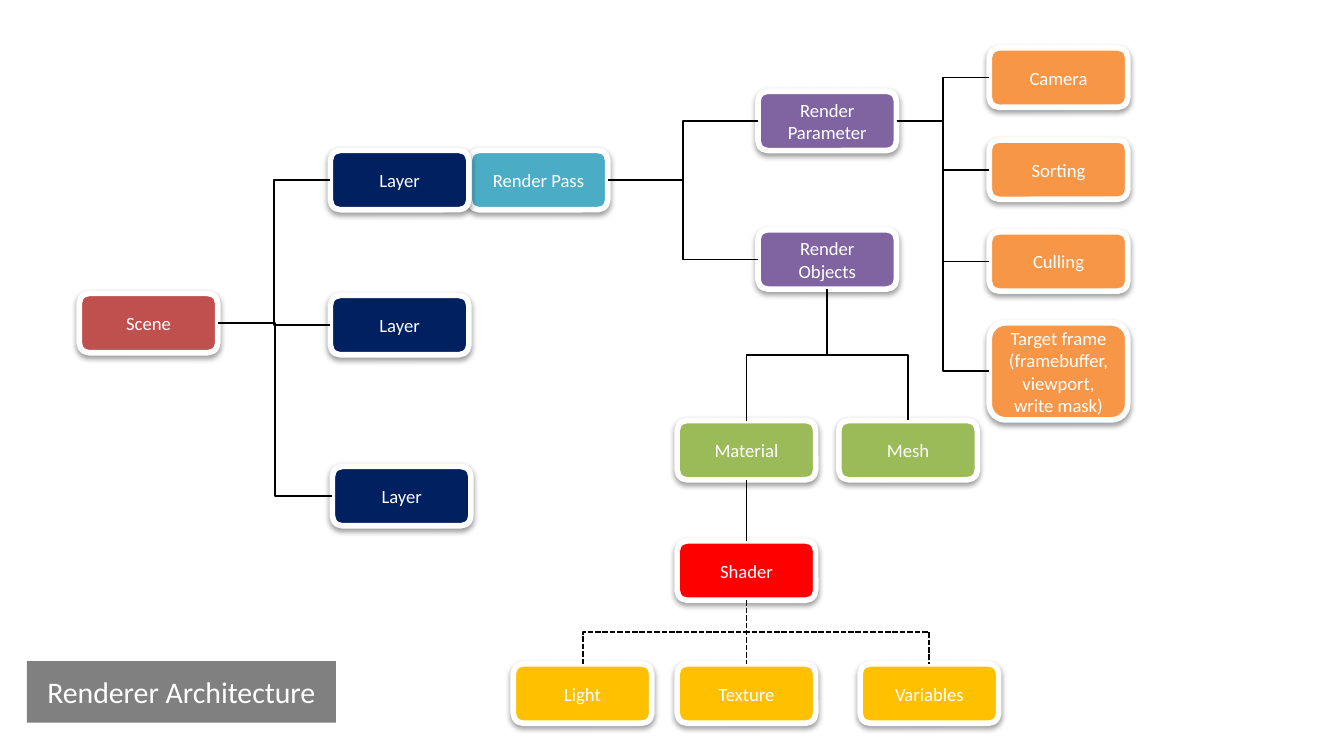
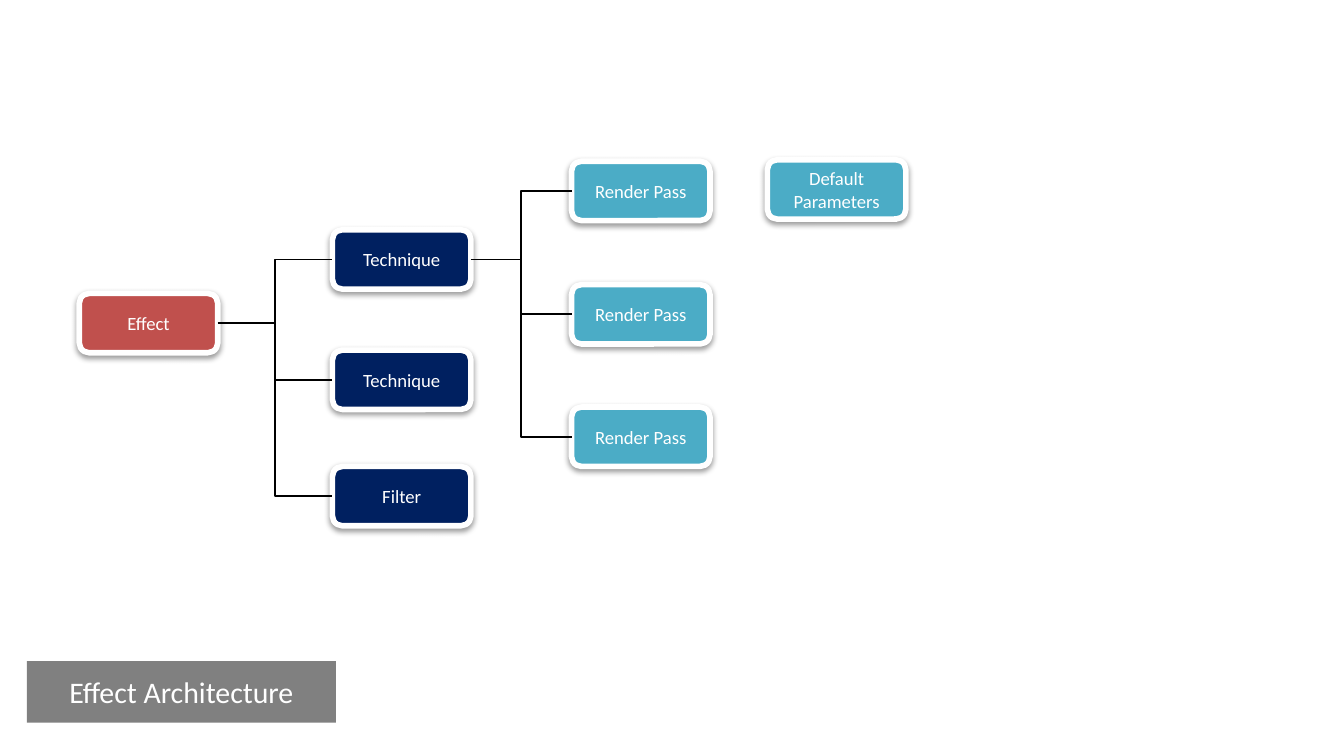
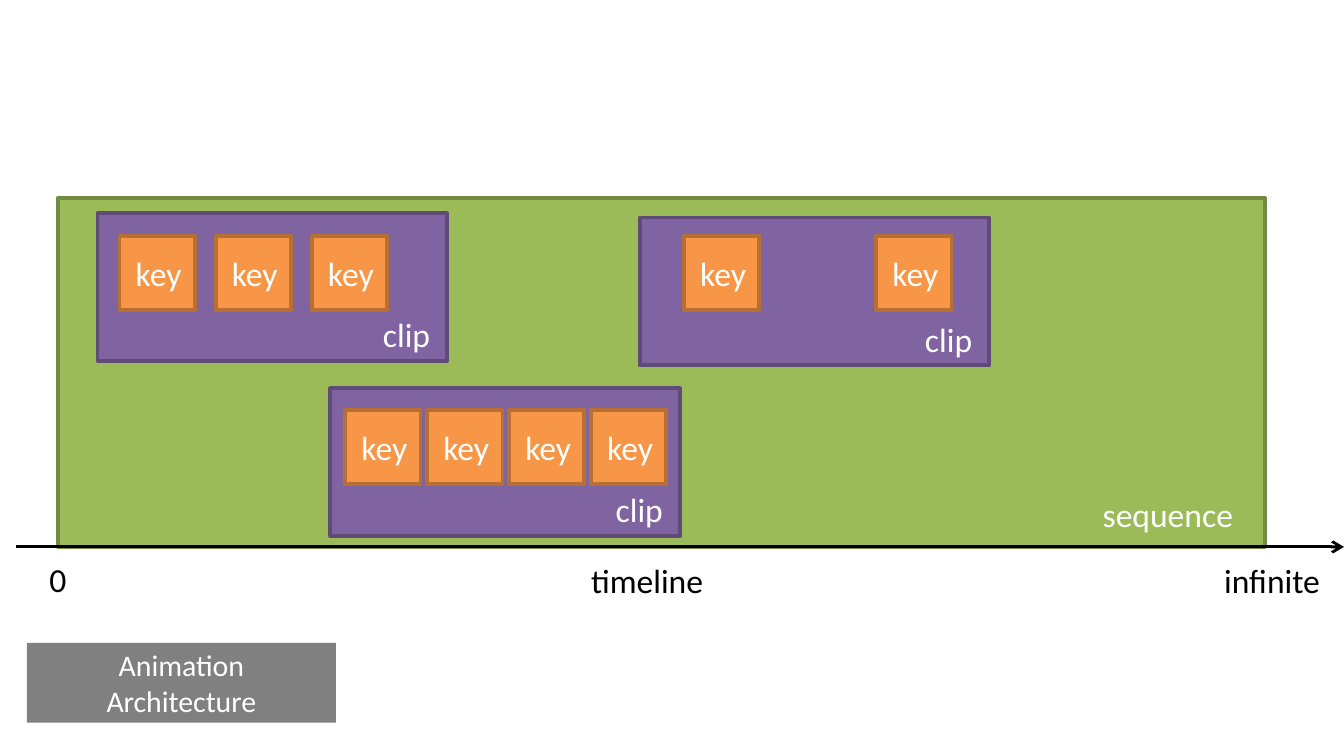
"""Build three architecture diagrams: renderer, effect and animation."""
from lxml import etree
from pptx import Presentation
from pptx import util as u
from pptx.dml import color
from pptx.enum import dml, shapes, text
from pptx.oxml.ns import qn

COLOURS = {
    "white": "FFFFFF", "black": "000000", "grey": "808080", "red": "C0504D",
    "navy": "002060", "teal": "4BACC6", "purple": "8064A2", "orange": "F79646",
    "green": "9BBB59", "bright_red": "FF0000", "amber": "FFC000",
    "dark_green": "738A42", "dark_purple": "5F4A78", "dark_orange": "B76F34",
}
FONT = "Calibri"
NODE_WIDTH, NODE_HEIGHT = 74.2, 31.8
KEY_WIDTH, KEY_HEIGHT = 40.3, 39.6
CLIP_WIDTH, CLIP_HEIGHT = 187.2, 79.2
AXIS_TOP = 293
ALIGN = {"left": text.PP_ALIGN.LEFT, "center": text.PP_ALIGN.CENTER,
         "right": text.PP_ALIGN.RIGHT}
ANCHOR = {"top": text.MSO_ANCHOR.TOP, "middle": text.MSO_ANCHOR.MIDDLE,
          "bottom": text.MSO_ANCHOR.BOTTOM}

RENDERER = {
    "title": ["Renderer Architecture"],
    "nodes": {
        "objects": (["Render Objects"], "purple", 406.1, 123.1),
        "pass": (["Render Pass"], "teal", 251.4, 80.6),
        "parameter": (["Render Parameter"], "purple", 406.1, 48.9),
        "camera": (["Camera"], "orange", 530, 25.7),
        "sorting": (["Sorting"], "orange", 530, 75),
        "culling": (["Culling"], "orange", 530, 124.2),
        "target": (["Target frame", "(framebuffer, viewport, write mask)"],
                   "orange", 530, 173, 52),
        "mesh": (["Mesh"], "green", 449.4, 225.3),
        "material": (["Material"], "green", 362.8, 225.3),
        "layer 1": (["Layer"], "navy", 177, 80.6),
        "layer 2": (["Layer"], "navy", 177, 158.3),
        "layer 3": (["Layer"], "navy", 178.1, 249.9),
        "scene": (["Scene"], "red", 42.5, 157.2),
        "light": (["Light"], "amber", 275, 355.7),
        "texture": (["Texture"], "amber", 362.8, 355.7),
        "shader": (["Shader"], "bright_red", 362.8, 289.8),
        "variables": (["Variables"], "amber", 460.8, 355.7),
    },
    "links": [
        ("parameter", ["camera", "sorting", "culling", "target"], "across", False),
        ("pass", ["parameter", "objects"], "across", False),
        ("objects", ["mesh", "material"], "down", False),
        ("scene", ["layer 1", "layer 2", "layer 3"], "across", False),
        ("material", ["shader"], "down", False),
        ("shader", ["light", "texture", "variables"], "down", True),
    ],
}
EFFECT = {
    "title": ["Effect Architecture"],
    "nodes": {
        "pass 1": (["Render Pass"], "teal", 306.2, 86.4),
        "pass 2": (["Render Pass"], "teal", 306.2, 152.5),
        "pass 3": (["Render Pass"], "teal", 306.2, 218.1),
        "technique 1": (["Technique"], "navy", 178.1, 123.1),
        "technique 2": (["Technique"], "navy", 178.1, 187.6),
        "filter": (["Filter"], "navy", 178.1, 249.9),
        "effect": (["Effect"], "red", 42.5, 157.2),
        "defaults": (["Default Parameters"], "teal", 411.1, 85.6),
    },
    "links": [
        ("technique 1", ["pass 1", "pass 2", "pass 3"], "across", False),
        ("effect", ["technique 1", "technique 2", "filter"], "across", False),
    ],
}
CLIPS = [
    {"at": (52.3, 114.3), "keys_left": 64.1, "keys_top": 126.4, "step": 51.5, "count": 3},
    {"at": (342.7, 116.6), "keys_left": 366.5, "keys_top": 126.4, "step": 103, "count": 2},
    {"at": (177, 208), "keys_left": 185, "keys_top": 219.6, "step": 43.9, "count": 4},
]
AXIS_LABELS = [("0", 19.4, 296, 23.8), ("infinite", 648.7, 296.5, 67),
               ("timeline", 309.6, 296.5, 75.6)]


def apply(target, values):
    for name, value in values.items():
        setattr(target, name, value)


def rgb(name):
    return color.RGBColor.from_string(COLOURS[name])


def write(box, lines, size, colour="white", align="center", anchor="middle",
          right=7.2, bottom=3.6, wrap=True):
    frame = box.text_frame
    apply(frame, {"word_wrap": wrap, "vertical_anchor": ANCHOR[anchor],
                  "margin_right": u.Pt(right), "margin_bottom": u.Pt(bottom)})
    for index, line in enumerate(lines):
        para = frame.add_paragraph() if index else frame.paragraphs[0]
        para.alignment = ALIGN[align]
        span = para.add_run()
        span.text = line
        apply(span.font, {"name": FONT, "size": u.Pt(size)})
        span.font.color.rgb = rgb(colour)


def add_box(page, place, fill, outline=None, width=2, rounded=False):
    kind = shapes.MSO_SHAPE.ROUNDED_RECTANGLE if rounded else shapes.MSO_SHAPE.RECTANGLE
    box = page.shapes.add_shape(kind, *map(u.Pt, place))
    box.shadow.inherit = False
    box.fill.solid()
    box.fill.fore_color.rgb = rgb(fill)
    if outline:
        box.line.color.rgb = rgb(outline)
        box.line.width = u.Pt(width)
    else:
        box.line.fill.background()
    return box


def add_line(page, start, end, width=1, elbow=False, dashed=False):
    kind = shapes.MSO_CONNECTOR.ELBOW if elbow else shapes.MSO_CONNECTOR.STRAIGHT
    line = page.shapes.add_connector(kind, *map(u.Pt, (*start, *end)))
    line.line.color.rgb = rgb("black")
    line.line.width = u.Pt(width)
    if dashed:
        line.line.dash_style = dml.MSO_LINE.SQUARE_DOT
    etree.SubElement(line._element.spPr, qn("a:effectLst"))
    return line


def add_drop_shadow(box):
    effects = box._element.spPr.find(qn("a:effectLst"))
    shadow = etree.SubElement(effects, qn("a:outerShdw"), blurRad=str(u.Pt(3.1)),
                              dist=str(u.Pt(1.6)), dir="5400000", rotWithShape="0")
    tint = etree.SubElement(shadow, qn("a:srgbClr"), val=COLOURS["black"])
    etree.SubElement(tint, qn("a:alpha"), val="38000")


def add_title(page, lines, top=354.2, height=33):
    write(add_box(page, (14.4, top, 165.6, height), "grey"), lines, 16)


def link(page, source, goal, direction, dashed):
    left, top, width, height = source
    goal_left, goal_top, goal_width, goal_height = goal
    if direction == "across":
        add_line(page, (left + width, top + height / 2),
                 (goal_left, goal_top + goal_height / 2), elbow=True, dashed=dashed)
        return
    x, y = left + width / 2, top + height
    goal_x = goal_left + goal_width / 2
    if x == goal_x:
        add_line(page, (x, y), (goal_x, goal_top), dashed=dashed)
        return
    middle_x, middle_y = (x + goal_x) / 2, (y + goal_top) / 2
    half_run, half_drop = (goal_x - x) / 2, (goal_top - y) / 2
    line = add_line(page, (middle_x - half_drop, middle_y + half_run),
                    (middle_x + half_drop, middle_y - half_run), elbow=True, dashed=dashed)
    line._element.spPr.xfrm.set("rot", "5400000")


def build_tree(page, tree):
    places = {}
    for name, (lines, fill, left, top, *height) in tree["nodes"].items():
        places[name] = (left, top, NODE_WIDTH, height[0] if height else NODE_HEIGHT)
        box = add_box(page, places[name], fill, "white", 3, rounded=True)
        add_drop_shadow(box)
        write(box, lines, 10)
    for source, goals, direction, dashed in tree["links"]:
        for goal in goals:
            link(page, places[source], places[goal], direction, dashed)
    add_title(page, tree["title"])


def build_timeline(page):
    add_title(page, ["Animation", "Architecture"], 344.4, 42.8)
    sequence = add_box(page, (31, 106, 646.6, AXIS_TOP - 106), "green", "dark_green")
    write(sequence, ["sequence"], 18, align="right", anchor="bottom", right=17, bottom=7)
    axis = add_line(page, (8.6, AXIS_TOP), (720, AXIS_TOP), 1.5)
    etree.SubElement(axis.line._get_or_add_ln(), qn("a:tailEnd"), type="arrow")
    for label, left, top, width in AXIS_LABELS:
        box = page.shapes.add_textbox(*map(u.Pt, (left, top, width, 29)))
        write(box, [label], 18, "black", "left", "top", wrap=False)
        box.text_frame.auto_size = text.MSO_AUTO_SIZE.SHAPE_TO_FIT_TEXT
    for clip in CLIPS:
        box = add_box(page, (*clip["at"], CLIP_WIDTH, CLIP_HEIGHT), "purple", "dark_purple")
        write(box, ["clip"], 18, align="right", anchor="bottom", right=9)
        for index in range(clip["count"]):
            left = clip["keys_left"] + index * clip["step"]
            key = add_box(page, (left, clip["keys_top"], KEY_WIDTH, KEY_HEIGHT),
                          "orange", "dark_orange")
            write(key, ["key"], 18, align="right")


deck = Presentation()
apply(deck, {"slide_width": u.Pt(720), "slide_height": u.Pt(405)})
blank = deck.slide_layouts[6]
for tree in (RENDERER, EFFECT):
    build_tree(deck.slides.add_slide(blank), tree)
build_timeline(deck.slides.add_slide(blank))
deck.save("out.pptx")
